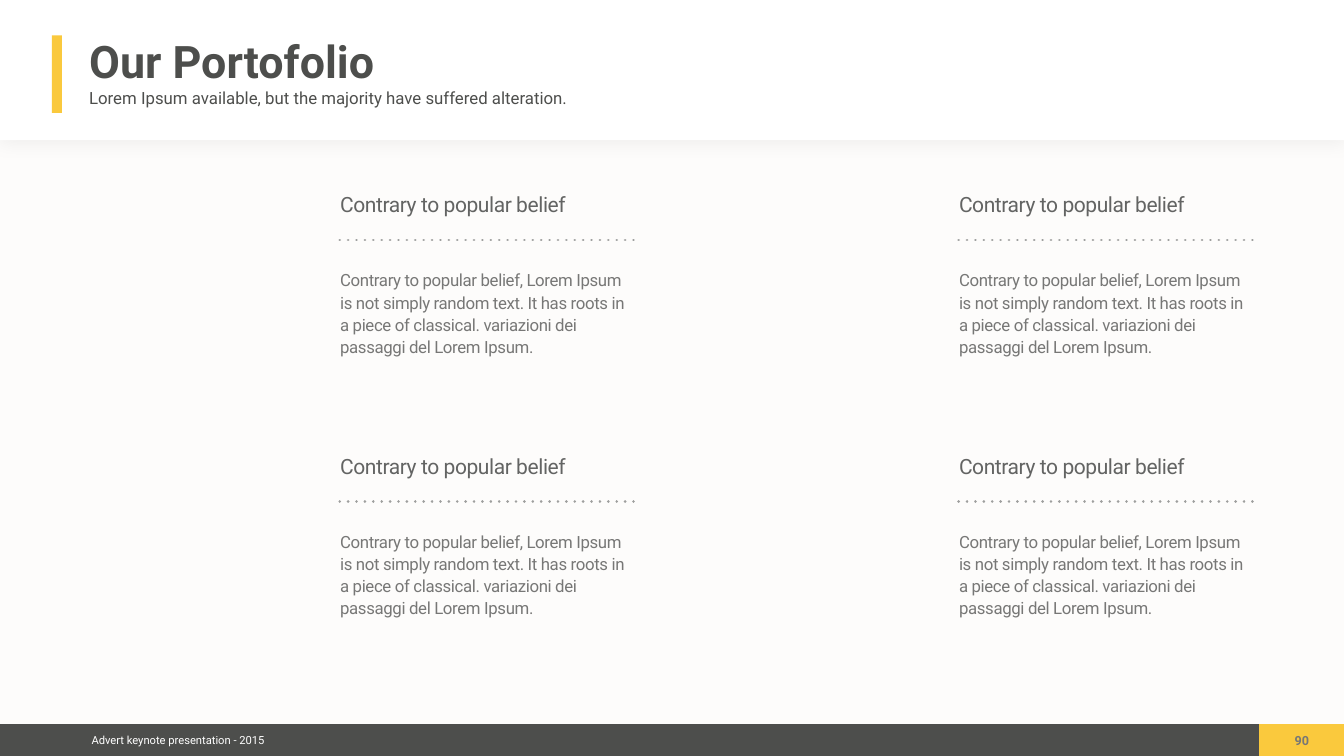
import pptx
import pptx.dml.color
import pptx.enum.shapes
import pptx.enum.text
import pptx.oxml
import pptx.oxml.ns
import pptx.util
from pptx.util import Cm

COLOURS = {
    "background": "FDFCFB",
    "white": "FFFFFF",
    "dark": "4D4E4C",
    "accent": "FAC93D",
    "heading": "636463",
    "body": "777776",
    "dots": "9E9F9E",
}
FONT = "Roboto"
HEADING = "Contrary to popular belief"
BODY = (
    "Contrary to popular belief, Lorem Ipsum is not simply random text. "
    "It has roots in a piece of classical. variazioni dei passaggi del Lorem Ipsum."
)
LEFT_TEXT = pptx.enum.text.PP_ALIGN.LEFT
CENTRE_TEXT = pptx.enum.text.PP_ALIGN.CENTER
TOP = pptx.enum.text.MSO_ANCHOR.TOP
MIDDLE = pptx.enum.text.MSO_ANCHOR.MIDDLE


def colour(name):
    return pptx.dml.color.RGBColor.from_string(COLOURS[name])


def xml(tag, content):
    namespace = pptx.oxml.ns.nsdecls("a")
    return pptx.oxml.parse_xml(f"<a:{tag} {namespace}>{content}</a:{tag}>")


def add_bar(page, left, top, width, height, fill):
    bar = page.shapes.add_shape(
        pptx.enum.shapes.MSO_SHAPE.RECTANGLE, Cm(left), Cm(top), Cm(width), Cm(height)
    )
    bar.shadow.inherit = False
    bar.fill.solid()
    bar.fill.fore_color.rgb = colour(fill)
    bar.line.fill.background()
    return bar


def add_soft_shadow(shape):
    properties = shape.element.spPr
    properties.remove(properties.find(pptx.oxml.ns.qn("a:effectLst")))
    blur, distance = pptx.util.Pt(26), pptx.util.Pt(2)
    properties.append(xml(
        "effectLst",
        f'<a:outerShdw blurRad="{blur}" dist="{distance}" dir="5400000" rotWithShape="0">'
        '<a:srgbClr val="000000"><a:alpha val="5000"/></a:srgbClr></a:outerShdw>',
    ))


def write_text(box, text, size, fill, bold=False, align=LEFT_TEXT, anchor=TOP,
               wrap=True, line_spacing=1.0, tracking=0):
    frame = box.text_frame
    frame.word_wrap = wrap
    frame.auto_size = pptx.enum.text.MSO_AUTO_SIZE.NONE
    frame.vertical_anchor = anchor
    frame.margin_left = frame.margin_right = Cm(0.2)
    frame.margin_top = frame.margin_bottom = Cm(0.2)
    para = frame.paragraphs[0]
    para.alignment = align
    para.line_spacing = line_spacing
    span = para.add_run()
    span.text = text
    span.font.name = FONT
    span.font.size = pptx.util.Pt(size)
    span.font.bold = bold
    span.font.color.rgb = colour(fill)
    if tracking:
        span.font._element.set("spc", str(tracking))


def add_text(page, left, top, width, height, text, size, fill, **style):
    box = page.shapes.add_textbox(Cm(left), Cm(top), Cm(width), Cm(height))
    write_text(box, text, size, fill, **style)


def add_title(page, left, top, width, height, text):
    title = page.shapes.title
    title.left, title.top = Cm(left), Cm(top)
    title.width, title.height = Cm(width), Cm(height)
    write_text(title, text, 64, "dark", bold=True, anchor=MIDDLE, wrap=False)
    # Bring the title in front of the header band
    title.element.getparent().append(title.element)


def add_dotted_line(page, left, top, width):
    rule = page.shapes.add_connector(
        pptx.enum.shapes.MSO_CONNECTOR.STRAIGHT,
        Cm(left), Cm(top), Cm(left + width), Cm(top),
    )
    rule.line.color.rgb = colour("dots")
    rule.line.width = pptx.util.Pt(4)
    outline = rule.line._get_or_add_ln()
    outline.set("cap", "rnd")
    outline.append(xml("custDash", '<a:ds d="100000" sp="200000"/>'))
    rule.element.spPr.append(xml("effectLst", ""))


def add_entry(page, left, top):
    add_text(page, left, top, 12.9, 1.78, HEADING, 30, "heading",
             line_spacing=1.1, tracking=-60)
    add_dotted_line(page, left + 0.18, top + 2.75, 15.06)
    add_text(page, left, top + 3.96, 15.21, 5.26, BODY, 24, "body",
             line_spacing=1.1, tracking=-50)


def add_header(page):
    add_soft_shadow(add_bar(page, 0, 0, 67.73, 7.06, "white"))
    add_bar(page, 2.62, 1.78, 0.5, 3.91, "accent")
    add_title(page, 4.29, 1.37, 14.78, 3.35, "Our Portofolio")
    add_text(page, 4.29, 4.24, 27.28, 1.52,
             "Lorem Ipsum available, but the majority have suffered alteration.",
             24, "dark")


def add_footer(page):
    add_bar(page, 0, 36.5, 67.73, 1.6, "dark")
    add_bar(page, 63.45, 36.5, 4.28, 1.6, "accent")
    add_text(page, 4.34, 36.73, 9.27, 1.14, "Advert keynote presentation - 2015",
             16, "white", align=CENTRE_TEXT, anchor=MIDDLE, wrap=False)
    add_text(page, 65.02, 36.75, 1.17, 1.24, "90", 18, "body",
             bold=True, align=CENTRE_TEXT, wrap=False)


def main():
    deck = pptx.Presentation()
    deck.slide_width, deck.slide_height = Cm(67.73), Cm(38.1)
    page = deck.slides.add_slide(deck.slide_layouts[5])
    page.background.fill.solid()
    page.background.fill.fore_color.rgb = colour("background")

    add_header(page)
    add_footer(page)

    # Two by two grid of portfolio entries
    for column in range(2):
        for row in range(2):
            add_entry(page, 16.94 + column * 31.19, 9.35 + row * 13.17)

    deck.save("out.pptx")


if __name__ == "__main__":
    main()
